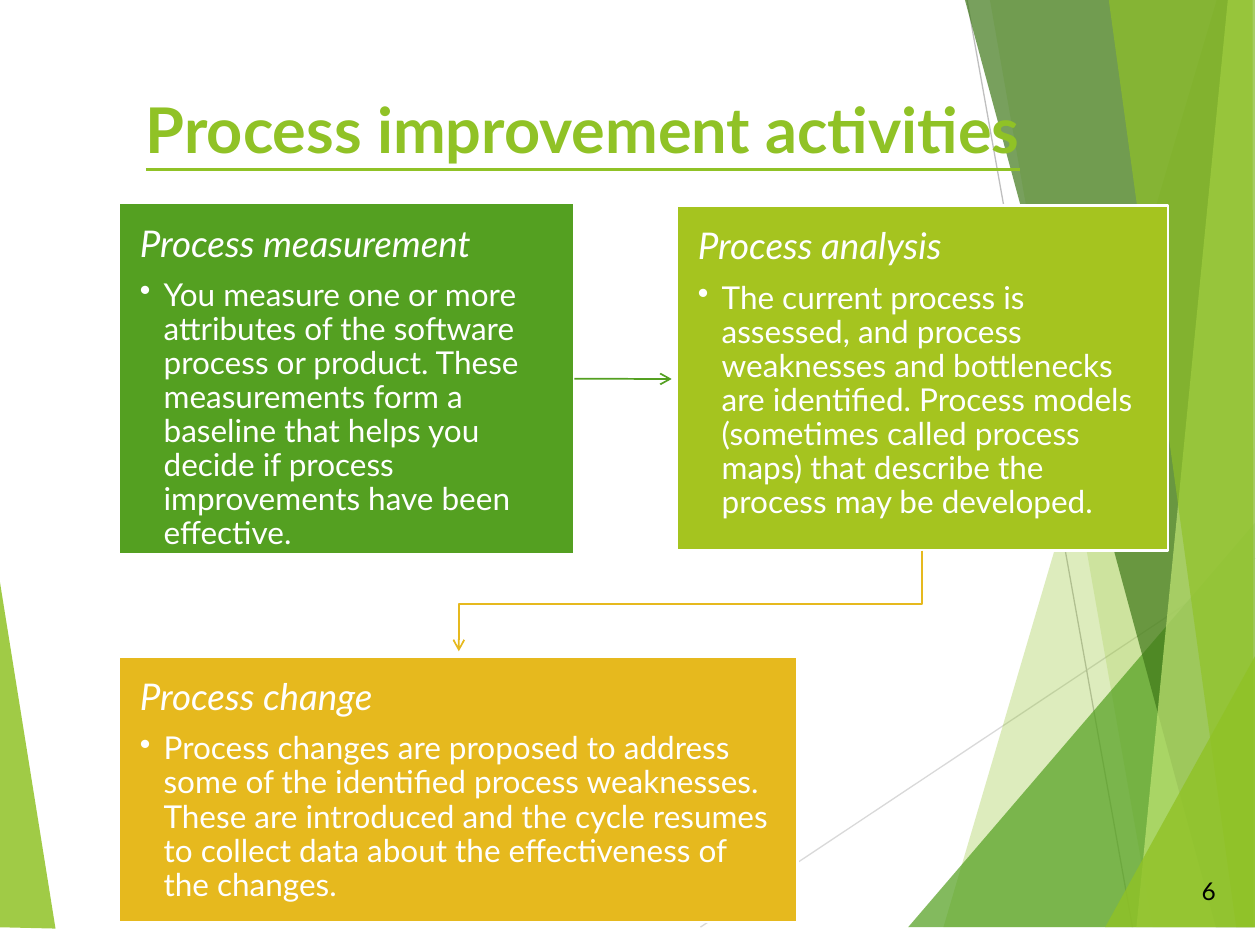
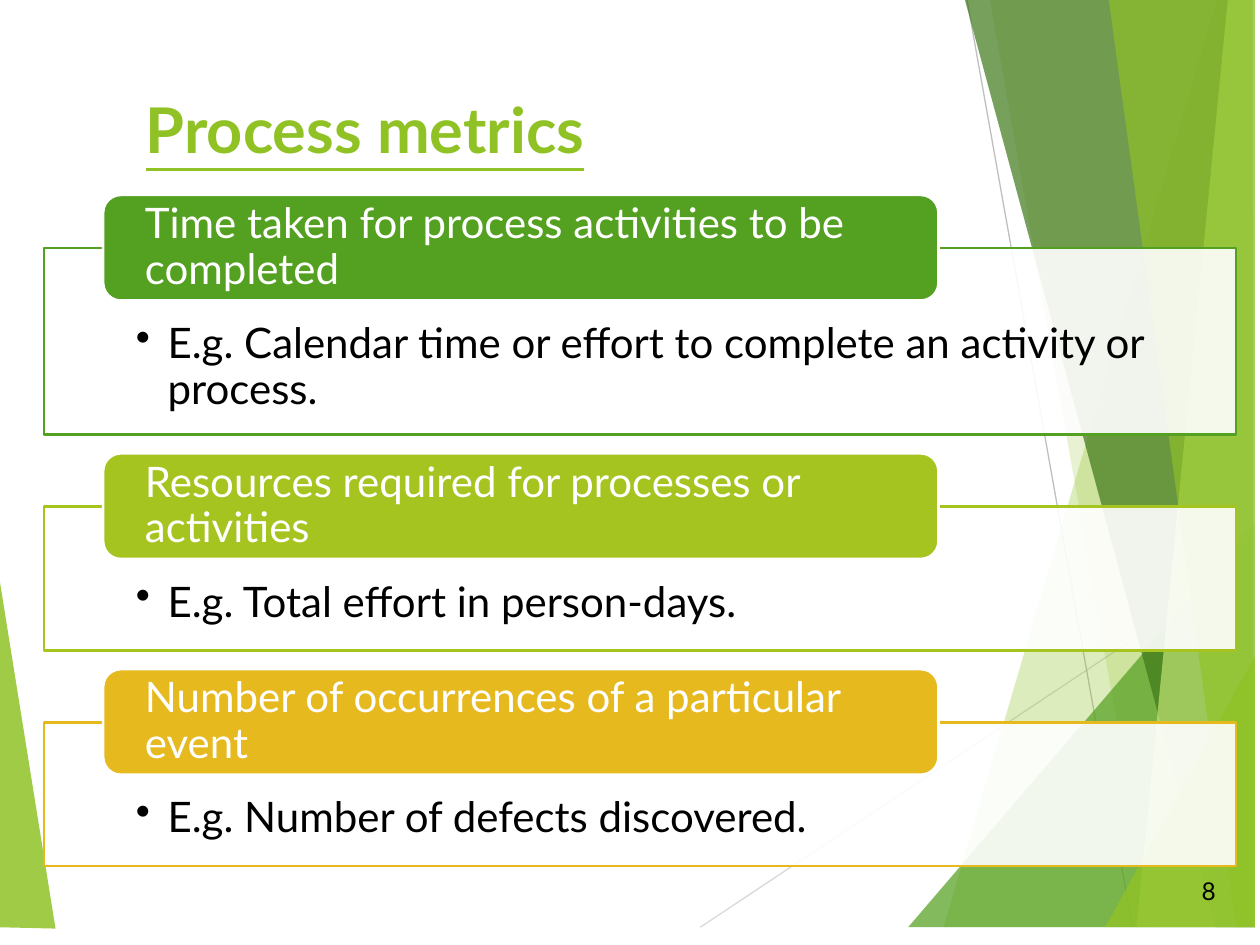
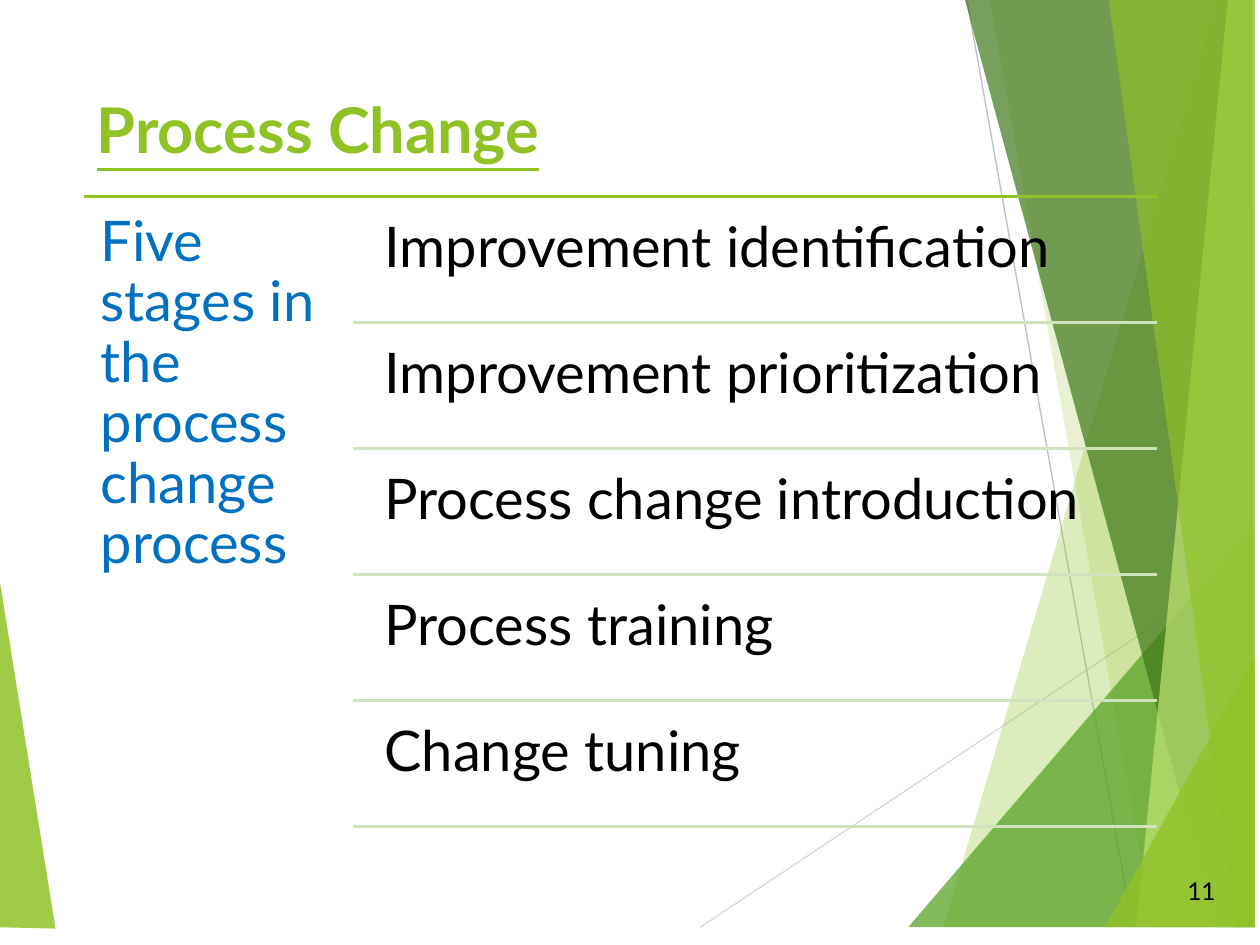
from lxml import etree
from pptx import Presentation
from pptx.dml.color import RGBColor
from pptx.enum.shapes import MSO_CONNECTOR, MSO_SHAPE
from pptx.enum.text import MSO_ANCHOR, MSO_AUTO_SIZE, PP_ALIGN
from pptx.oxml.ns import qn
from pptx.util import Cm, Pt

STRAIGHT = MSO_CONNECTOR.STRAIGHT
RECT, ROUND_RECT = MSO_SHAPE.RECTANGLE, MSO_SHAPE.ROUNDED_RECTANGLE
TOP, MIDDLE = MSO_ANCHOR.TOP, MSO_ANCHOR.MIDDLE
LEFT, RIGHT = PP_ALIGN.LEFT, PP_ALIGN.RIGHT
NO_FIT = MSO_AUTO_SIZE.NONE

# Shared look
FONT = "Lato"
LIME, GREEN, OLIVE, AMBER = "90C226", "54A021", "A5C41F", "E6B91E"
WHITE, BLACK, BLUE, PALE = "FFFFFF", "000000", "0070C0", "D1E3BE"
ACCENTS = (GREEN, OLIVE, AMBER)
TITLE_FMT = {"size": Pt(36), "bold": True, "underline": True}
TITLE_BOX = (2.69, 1.7, 21.23, 3.05)
NUMBER_BOX = (23.34, 17.45, 1.42, 1.02)

# Background artwork: lines, then (colour, opacity %, corners)
HIGH, LOW, EDGE = -0.38, 18.69, 25.3
THIN_LINES = [("D9D9D9", 14.12, LOW, EDGE, 11.25), ("BFBFBF", 19.43, -0.36, 22.83, LOW)]
FACETS = [
    (LIME, 85, [(-0.15, 10.8), (1.12, 18.72), (-0.15, LOW)]),
    (LIME, 30, [(24.64, HIGH), (19.02, LOW), (EDGE, LOW), (EDGE, HIGH)]),
    (LIME, 20, [(19.89, HIGH), (23.24, LOW), (EDGE, LOW), (EDGE, HIGH)]),
    (GREEN, 72, [(18.31, LOW), (EDGE, 10.54), (EDGE, LOW)]),
    ("3F7819", 70, [(19.35, HIGH), (24.51, LOW), (EDGE, LOW), (EDGE, HIGH)]),
    ("C0E474", 70, [(24.79, HIGH), (22.91, LOW), (EDGE, LOW), (EDGE, HIGH)]),
    (LIME, 65, [(22.3, HIGH), (24.92, LOW), (25.27, LOW), (25.25, HIGH)]),
    (LIME, 80, [(22.28, LOW), (EDGE, 13.23), (EDGE, LOW)]),
]

# Slide content
ACTIVITIES = [
    ("Process measurement",
     "You measure one or more attributes of the software process or product. These "
     "measurements form a baseline that helps you decide if process improvements "
     "have been effective.", (2.39, 4.09, 9.19, 7.09)),
    ("Process analysis",
     "The current process is assessed, and process weaknesses and bottlenecks are "
     "identified. Process models (sometimes called process maps) that describe the "
     "process may be developed.", (13.64, 4.14, 9.91, 6.96)),
    ("Process change",
     "Process changes are proposed to address some of the identified process "
     "weaknesses. These are introduced and the cycle resumes to collect data about "
     "the effectiveness of the changes.", (2.39, 13.23, 13.69, 5.36)),
]
METRICS = [
    ("Time taken for process activities to be completed",
     "E.g. Calendar time or effort to complete an activity or process.", 3.76),
    ("Resources required for processes or activities",
     "E.g. Total effort in person-days.", 2.9),
    ("Number of occurrences of a particular event",
     "E.g. Number of defects discovered.", 2.9),
]
STAGES = ["Improvement identification", "Improvement prioritization",
          "Process change introduction", "Process training", "Change tuning"]


def rgb(color):
    return RGBColor.from_string(color)


def cm(values):
    return [Cm(v) for v in values]


def set_line(sp, color, width):
    sp.line.color.rgb = rgb(color)
    sp.line.width = Pt(width)


def set_fill(sp, color, opacity=100):
    sp.fill.solid()
    sp.fill.fore_color.rgb = rgb(color)
    if opacity < 100:
        clr = sp.element.spPr.find(qn("a:solidFill") + "/" + qn("a:srgbClr"))
        etree.SubElement(clr, qn("a:alpha"), val=str(opacity * 1000))


def add_arrowhead(sp):
    etree.SubElement(sp.element.spPr.find(qn("a:ln")), qn("a:tailEnd"), type="arrow")


def set_frame(tf, insets=(0.25, 0.13, 0.25, 0.13), anchor=TOP):
    names = ("margin_left", "margin_top", "margin_right", "margin_bottom")
    frame = dict(zip(names, cm(insets)))
    frame.update(word_wrap=True, auto_size=NO_FIT, vertical_anchor=anchor)
    for name, value in frame.items():
        setattr(tf, name, value)


def write(p, text, color, fmt, spacing=0.9, after=0, align=LEFT, hang=0):
    """Fill a paragraph; a hang in cm makes it a bullet."""
    p.alignment, p.line_spacing, p.space_after = align, spacing, Pt(after)
    if hang:
        pPr = p._p.get_or_add_pPr()
        pPr.set("marL", str(Cm(hang)))
        pPr.set("indent", str(-Cm(hang)))
        etree.SubElement(pPr, qn("a:buChar"), char="•")
    r = p.add_run()
    r.text = text
    for name, value in {"name": FONT, **fmt}.items():
        setattr(r.font, name, value)
    r.font.color.rgb = rgb(color)


def add_box(s, kind, box, fill, line, opacity=100):
    sp = s.shapes.add_shape(kind, *cm(box))
    sp.shadow.inherit = False
    set_fill(sp, fill, opacity)
    set_line(sp, line, 1.5)
    return sp


def add_text(s, box, text, color, size, insets=(0.33,) * 4, anchor=TOP, **para):
    tf = s.shapes.add_textbox(*cm(box)).text_frame
    set_frame(tf, insets, anchor)
    write(tf.paragraphs[0], text, color, {"size": Pt(size)}, **para)


def add_line(s, color, x1, y1, x2, y2, width=1.5):
    c = s.shapes.add_connector(STRAIGHT, *cm((x1, y1, x2, y2)))
    set_line(c, color, width)
    etree.SubElement(c.element.spPr, qn("a:effectLst"))
    return c


def add_path(s, points, close=True):
    start, *rest = [cm(pt) for pt in points]
    builder = s.shapes.build_freeform(*start)
    builder.add_line_segments(rest, close=close)
    sp = builder.convert_to_shape()
    sp.shadow.inherit = False
    return sp


def decorate_layout(s, layout):
    """Draw the artwork and move it to the layout, behind everything else."""
    art = [add_line(s, *line, width=0.75) for line in THIN_LINES]
    for color, opacity, corners in FACETS:
        sp = add_path(s, corners)
        set_fill(sp, color, opacity)
        sp.line.fill.background()
        art.append(sp)
    for i, sp in enumerate(art):
        sp.element.xpath("./*/p:cNvPr")[0].set("id", str(100 + i))
        layout.shapes.element.insert(2 + i, sp.element)


def add_slide(prs, layout, title, number, title_box=TITLE_BOX):
    s = prs.slides.add_slide(layout)
    sp = s.shapes.title
    sp.left, sp.top, sp.width, sp.height = cm(title_box)
    set_frame(sp.text_frame)
    write(sp.text_frame.paragraphs[0], title, LIME, TITLE_FMT, spacing=1.0)
    add_text(s, NUMBER_BOX, number, BLACK, 14, (0.25, 0.13, 0.25, 0.13), MIDDLE,
             spacing=1.0, align=RIGHT)
    return s


def add_activities(s):
    boxes = []
    for (heading, text, box), color in zip(ACTIVITIES, ACCENTS):
        sp = add_box(s, RECT, box, color, WHITE)
        tf = sp.text_frame
        set_frame(tf, (0.43, 0.46, 0.43, 0.46))
        write(tf.paragraphs[0], heading, WHITE, {"size": Pt(21), "italic": True}, after=8)
        write(tf.add_paragraph(), text, WHITE, {"size": Pt(18)}, after=3, hang=0.48)
        boxes.append(sp)
    # Arrows from measurement to analysis, and from analysis to change
    arrow = add_line(s, GREEN, 11.58, 7.64, 13.54, 7.64, width=1)
    arrow.begin_connect(boxes[0], 3)
    add_arrowhead(arrow)
    elbow = add_path(s, [(18.59, 11.1), (18.59, 12.17), (9.25, 12.17), (9.25, 13.13)],
                     close=False)
    elbow.fill.background()
    set_line(elbow, AMBER, 1)
    add_arrowhead(elbow)


def add_metrics(s):
    top, gap = 5.0, 1.45
    for (heading, example, height), color in zip(METRICS, ACCENTS):
        frame = add_box(s, RECT, (0.89, top, 24.03, height), WHITE, color, opacity=90)
        set_frame(frame.text_frame, (1.85, 1.5, 1.85, 0.48))
        write(frame.text_frame.paragraphs[0], example, BLACK, {"size": Pt(24)},
              after=4, hang=0.64)
        tab = add_box(s, ROUND_RECT, (2.08, top - 1.07, 16.84, 2.13), color, WHITE)
        set_frame(tab.text_frame, (0.74, 0, 0.74, 0), MIDDLE)
        write(tab.text_frame.paragraphs[0], heading, WHITE, {"size": Pt(24)})
        top += height + gap


def add_stages(s):
    top, step = 3.96, 2.54
    add_line(s, LIME, 1.7, top, 23.34, top)
    add_text(s, (1.7, top, 5.41, 12.83), "Five stages in the process change process", BLUE, 32)
    for i, stage in enumerate(STAGES):
        y = top + i * step
        add_text(s, (7.42, y + 0.12, 15.93, 2.41), stage, BLACK, 32)
        add_line(s, PALE, 7.11, y + step, 23.32, y + step)


def main():
    prs = Presentation()
    prs.slide_width, prs.slide_height = Cm(25.4), Cm(19.05)
    layout = prs.slide_layouts.get_by_name("Title Only")

    s = add_slide(prs, layout, "Process improvement activities", "6")
    decorate_layout(s, layout)
    add_activities(s)

    add_metrics(add_slide(prs, layout, "Process metrics", "8"))
    add_stages(add_slide(prs, layout, "Process Change", "11", (1.7, 1.7, 21.36, 2.26)))
    prs.save("out.pptx")


if __name__ == "__main__":
    main()
